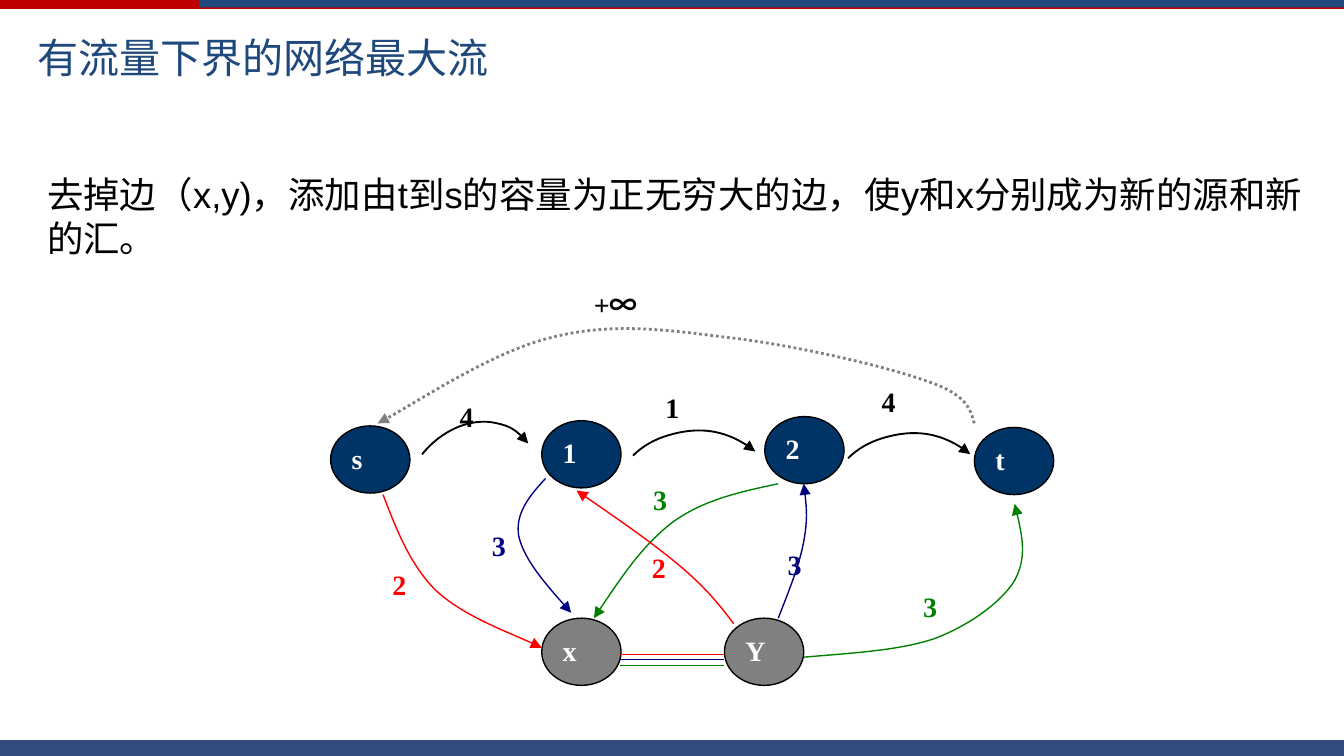
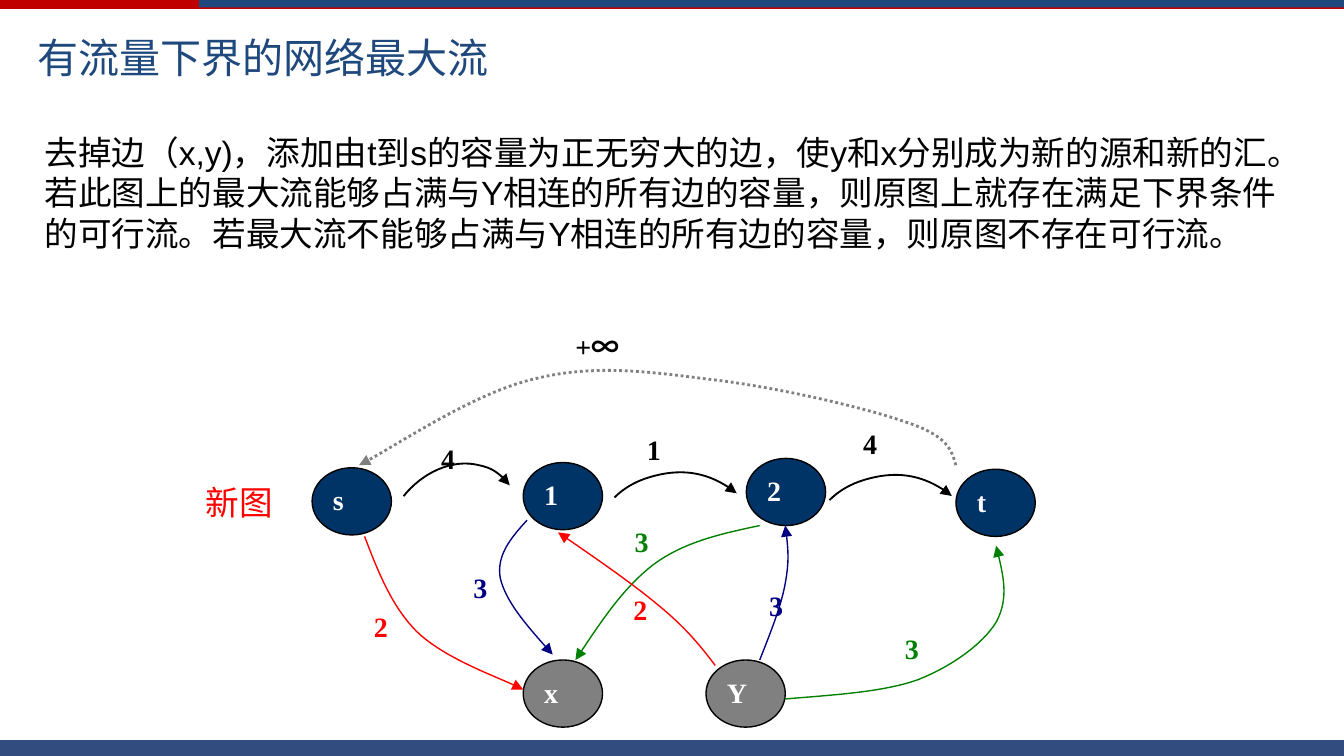
from lxml.etree import SubElement
from pptx import Presentation
from pptx.dml.color import RGBColor
from pptx.enum.dml import MSO_LINE
from pptx.enum.shapes import MSO_CONNECTOR, MSO_SHAPE
from pptx.enum.text import MSO_ANCHOR, MSO_AUTO_SIZE, PP_ALIGN
from pptx.oxml.ns import qn
from pptx.util import Pt

COLORS = {
    "red": "FF0000", "navy": "000080", "green": "008000", "grey": "808080",
    "black": "000000", "white": "FFFFFF", "node": "003366", "title": "1F497D",
    "band_red": "C00000", "band_foot": "002060",
}
SERIF, SANS, CJK = "Times New Roman", "Arial", "Noto Sans CJK SC"

TITLE = "有流量下界的网络最大流"
STEP = "去掉边（x,y)，添加由t到s的容量为正无穷大的边，使y和x分别成为新的源和新的汇。"
RESULT = ("若此图上的最大流能够占满与Y相连的所有边的容量，则原图上就存在满足下界条件的可行流。"
          "若最大流不能够占满与Y相连的所有边的容量，则原图不存在可行流。")

# Network, in points: node positions, edge curves, capacity labels
NODE_SIZE = (42.5, 36)
NODES = [
    ("1", 290.2, 225.4, "node"), ("2", 409.7, 223.2, "node"),
    ("s", 177.1, 228.2, "node"), ("t", 522, 229, "node"),
    ("x", 290.2, 331.2, "grey"), ("Y", 388.1, 331.2, "grey"),
]
ARC_1_2 = [(339.1, 244.1), (344.2, 239), (350.6, 235.4), (357.8, 233.3),
           (374.4, 228.2), (391.7, 231.1), (404.6, 241.9)]
ARC_2_T = [(x + 115.2, y + 1.4) for x, y in ARC_1_2]
ARC_S_1 = [(226.1, 243.4), (236, 231), (252, 223.2), (266.4, 226.8),
           (272.9, 228.2), (278.6, 231.8), (283, 237.6)]
EDGES = [
    ("black", ARC_S_1), ("black", ARC_1_2), ("black", ARC_2_T),
    ("red", [(205.2, 265), (212.4, 283.7), (219.6, 302.4), (233.3, 316.1),
             (247.7, 329.8), (280.8, 342), (290.2, 347)]),
    ("navy", [(416.9, 331.2), (422.6, 316.8), (428.4, 302.4), (430.6, 290.2),
              (432.7, 278.6), (432, 269.3), (430.6, 259.2)]),
    ("green", [(430.6, 352.1), (456.5, 349.9), (482.4, 348.5), (501.1, 342),
               (519.8, 334.8), (536.4, 322.6), (543.6, 311), (550.1, 298.8),
               (547.2, 284.4), (543.6, 270)]),
    ("green", [(416.9, 259.2), (396.7, 263.5), (376.6, 267.8), (360, 280.1),
               (344.2, 292.3), (331.2, 311.8), (318.2, 331.2)]),
    ("red", [(393.1, 334.1), (385.9, 324.7), (378.7, 315.4), (365, 303.8),
             (350.6, 291.6), (329.8, 277.2), (308.9, 262.8)]),
    ("navy", [(292.3, 256.3), (283.7, 265.7), (275.8, 275), (277.9, 287.3),
              (280.8, 299.5), (293, 313.9), (306, 328.3)]),
]
RETURN_EDGE = [(522, 226.8), (519.8, 218.9), (517.7, 211), (495.4, 203.8),
               (473, 195.8), (422.6, 184.3), (388.8, 180.7), (355.7, 176.4),
               (326.9, 172.8), (295.9, 180.7), (265, 187.9), (218.2, 218.9),
               (202.3, 226.8)]
LABELS = [
    ("4", 241.2, 211, "black"), ("4", 467.3, 203, "black"),
    ("1", 351.4, 206.6, "black"), ("2", 205.2, 301, "red"),
    ("3", 258.5, 280.1, "navy"), ("3", 344.9, 255.6, "green"),
    ("2", 344.2, 292.3, "red"), ("3", 416.9, 290.2, "navy"),
    ("3", 489.6, 313.2, "green"),
]
REMOVED_EDGE = ["red", "navy", "green"]


def rgb(name):
    return RGBColor.from_string(COLORS[name])


def apply(target, values):
    for name, value in values.items():
        setattr(target, name, value)


def place(shape, left, top, width, height):
    apply(shape, {"left": Pt(left), "top": Pt(top),
                  "width": Pt(width), "height": Pt(height)})


def set_margins(frame, side, end):
    apply(frame, {"margin_left": Pt(side), "margin_right": Pt(side),
                  "margin_top": Pt(end), "margin_bottom": Pt(end)})


def write(frame, paragraphs, size, color, bold=False):
    """Fill a frame; each paragraph is a list of (text, font) pairs."""
    apply(frame, {"word_wrap": True, "auto_size": MSO_AUTO_SIZE.NONE,
                  "vertical_anchor": MSO_ANCHOR.TOP})
    for index, spans in enumerate(paragraphs):
        para = frame.add_paragraph() if index else frame.paragraphs[0]
        apply(para, {"alignment": PP_ALIGN.LEFT, "space_before": Pt(0)})
        for text, font in spans:
            span = para.add_run()
            span.text = text
            apply(span.font, {"size": Pt(size), "bold": bold, "name": font})
            span.font.color.rgb = rgb(color)
            SubElement(span.font._element, qn("a:ea"), typeface=font)


def fill_placeholder(shape, area, paragraphs, size, color):
    place(shape, *area)
    write(shape.text_frame, paragraphs, size, color)
    for para in shape.text_frame.paragraphs:
        properties = para._p.get_or_add_pPr()
        apply_xml = {"marL": "0", "indent": "0"}
        for name, value in apply_xml.items():
            properties.set(name, value)
        SubElement(properties, qn("a:buNone"))


def add_label(shapes, area, spans, size, color, bold=True, margins=(5, 2.9)):
    box = shapes.add_textbox(*map(Pt, area))
    set_margins(box.text_frame, *margins)
    write(box.text_frame, [spans], size, color, bold)


def add_node(shapes, text, left, top, color):
    node = shapes.add_shape(MSO_SHAPE.OVAL, *map(Pt, (left, top, *NODE_SIZE)))
    node.shadow.inherit = False
    node.fill.solid()
    node.fill.fore_color.rgb = rgb(color)
    node.line.color.rgb = rgb("black")
    node.line.width = Pt(0.75)
    set_margins(node.text_frame, 5, 2.9)
    write(node.text_frame, [[(text, SERIF)]], 15, "white", True)


def add_curve(shapes, points, color, width, dash=None):
    """Draw a chain of cubic curves that ends in an arrowhead."""
    start, *rest = [(Pt(x), Pt(y)) for x, y in points]
    builder = shapes.build_freeform(*start)
    builder.add_line_segments(rest, close=False)
    curve = builder.convert_to_shape()
    curve.shadow.inherit = False
    curve.fill.background()
    curve.line.color.rgb = rgb(color)
    curve.line.width = Pt(width)
    if dash:
        curve.line.dash_style = dash
    # Each three straight segments become one cubic segment
    outline = curve.element.xpath(".//a:path")[0]
    outline.set("fill", "none")
    segments = outline.findall(qn("a:lnTo"))
    for first in range(0, len(segments), 3):
        cubic = SubElement(outline, qn("a:cubicBezTo"))
        for segment in segments[first:first + 3]:
            cubic.append(segment[0])
            outline.remove(segment)
    SubElement(curve.line._get_or_add_ln(), qn("a:tailEnd"), type="triangle")


def add_line(shapes, start, end, color):
    line = shapes.add_connector(MSO_CONNECTOR.STRAIGHT, *map(Pt, (*start, *end)))
    line.line.color.rgb = rgb(color)
    line.line.width = Pt(0.75)
    SubElement(line.element.spPr, qn("a:effectLst"))


def add_bands(page):
    """Draw the bands once and hand them to the layout of the page."""
    bands = [((0, 0, 720, 4.8), "band_red", None),
             ((106.5, 0, 613.5, 4), "title", None),
             ((0, 396.5, 720, 8.5), "band_foot", "80000")]
    for index, (area, color, alpha) in enumerate(bands):
        band = page.shapes.add_shape(MSO_SHAPE.RECTANGLE, *map(Pt, area))
        band.shadow.inherit = False
        band.fill.solid()
        band.fill.fore_color.rgb = rgb(color)
        band.line.fill.background()
        if alpha:
            tint = band.element.spPr.find(qn("a:solidFill"))[0]
            SubElement(tint, qn("a:alpha"), val=alpha)
        band.element.xpath(".//p:cNvPr")[0].set("id", str(100 + index))
        page.slide_layout.shapes.element.insert(2 + index, band.element)


def add_network(page, dx=0, dy=0):
    shapes = page.shapes.add_group_shape().shapes

    def moved(points):
        return [(x + dx, y + dy) for x, y in points]

    for text, left, top, color in NODES:
        add_node(shapes, text, left + dx, top + dy, color)
    for color, points in EDGES:
        add_curve(shapes, moved(points), color, 1 if color == "black" else 0.75)
    for text, left, top, color in LABELS:
        add_label(shapes, (left + dx, top + dy, 42.5, 31), [(text, SERIF)], 15, color)
    # Edge of infinite capacity from t back to s
    add_curve(page.shapes, moved(RETURN_EDGE), "grey", 1.5, MSO_LINE.ROUND_DOT)
    add_label(page.shapes, (313.2 + dx, 151.2 + dy, 66, 34.6),
              [("+", SERIF), ("∞", CJK)], 15, "black")


def add_page(deck, body_area, paragraphs, size):
    page = deck.slides.add_slide(deck.slide_layouts[1])
    fill_placeholder(page.shapes.title, (13, 13.7, 486, 67.7),
                     [[(TITLE, CJK)]], 22, "title")
    fill_placeholder(page.placeholders[1], body_area,
                     [[(text, SANS)] for text in paragraphs], size, "black")
    return page


def main():
    deck = Presentation()
    apply(deck, {"slide_width": Pt(720), "slide_height": Pt(405)})

    # Slide 1: the edge (x, y) is taken out
    page = add_page(deck, (18, 88.6, 688.3, 54.7), [STEP], 19.5)
    add_bands(page)
    add_network(page)
    for index, color in enumerate(REMOVED_EDGE):
        height = 350.6 + 2.9 * index
        add_line(page.shapes, (332, height), (388.1, height), color)

    # Slide 2: the new network and its test
    page = add_page(deck, (16.6, 67, 689, 92), [STEP, RESULT], 18)
    add_network(page, dx=-9.9, dy=22.4)
    add_label(page.shapes, (103, 254.9, 67.7, 28.8), [("新图", SANS)], 18, "red",
              bold=False, margins=(7.2, 3.6))

    deck.save("out.pptx")


if __name__ == "__main__":
    main()
